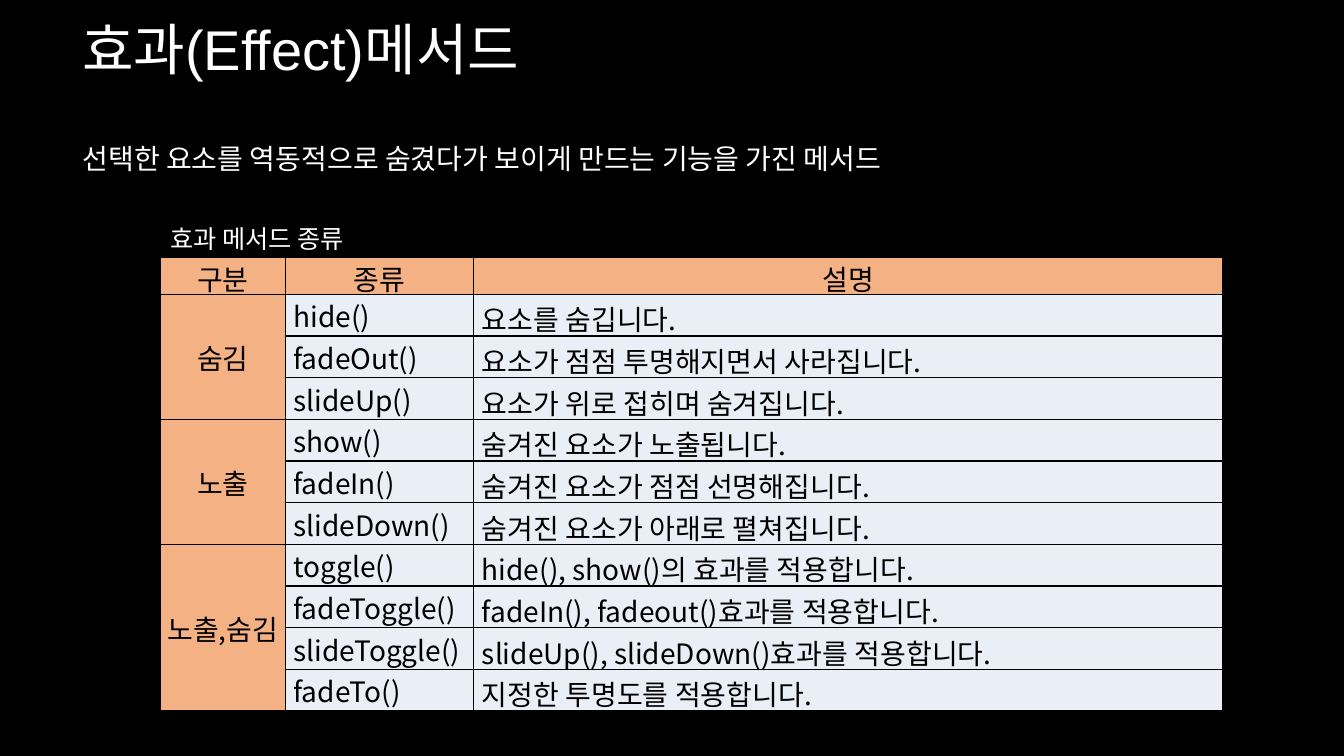
from dataclasses import dataclass
from pptx import Presentation
from pptx.dml.color import RGBColor as Rgb
from pptx.enum.text import MSO_ANCHOR as Anchor, MSO_AUTO_SIZE as Auto, PP_ALIGN as Align
from pptx.oxml import parse_xml
from pptx.oxml.ns import nsdecls, qn
from pptx.util import Inches, Pt


@dataclass(frozen=True)
class Theme:
    """Colours, fonts and type sizes of the slide."""
    back: str = "000000"
    light: str = "FFFFFF"
    dark: str = "000000"
    head: str = "F4B183"
    body: str = "EAEFF7"
    latin: str = "Arial"
    hangul: str = "Noto Sans CJK KR"
    title: int = 40
    text: int = 20
    label: int = 18


THEME = Theme()
HEADS = ("구분", "종류", "설명")
GROUPS = (
    ("숨김", (
        ("hide()", "요소를 숨깁니다."),
        ("fadeOut()", "요소가 점점 투명해지면서 사라집니다."),
        ("slideUp()", "요소가 위로 접히며 숨겨집니다."),
    )),
    ("노출", (
        ("show()", "숨겨진 요소가 노출됩니다."),
        ("fadeIn()", "숨겨진 요소가 점점 선명해집니다."),
        ("slideDown()", "숨겨진 요소가 아래로 펼쳐집니다."),
    )),
    ("노출,숨김", (
        ("toggle()", "hide(), show()의 효과를 적용합니다."),
        ("fadeToggle()", "fadeIn(), fadeout()효과를 적용합니다."),
        ("slideToggle()", "slideUp(), slideDown()효과를 적용합니다."),
        ("fadeTo()", "지정한 투명도를 적용합니다."),
    )),
)
COLS = (1.24, 1.87, 7.43)
HEAD_ROW, BODY_ROW = 0.37, 0.39
HEAD_PAD = (0.01, 0.01, 0.01, 0)
NAME_PAD = (0.08, 0.01, 0.01, 0.04)
NOTE_PAD = (0.08, 0.04, 0.01, 0.04)


def style(par, size, color, face=THEME.hangul):
    """Set the type of a whole paragraph."""
    font = par.font
    font.size, font.name = Pt(size), face
    font.color.rgb = Rgb.from_string(color)
    props = par._p.pPr.find(qn("a:defRPr"))
    props.append(parse_xml(f'<a:ea {nsdecls("a")} typeface="{face}"/>'))


def add_text(slide, box, text, size, face=THEME.hangul, wrap=True, space=None):
    """Place one line of light text in the box."""
    frame = slide.shapes.add_textbox(*map(Inches, box)).text_frame
    frame.word_wrap, frame.auto_size = wrap, Auto.SHAPE_TO_FIT_TEXT
    par = frame.paragraphs[0]
    par.text, par.line_spacing = text, space
    style(par, size, THEME.light, face)


def edge(cell):
    """Draw thin lines on all four sides of a cell."""
    props = cell._tc.get_or_add_tcPr()
    for spot, side in enumerate(("lnL", "lnR", "lnT", "lnB")):
        props.insert(spot, parse_xml(
            f'<a:{side} {nsdecls("a")} w="{Pt(1)}"><a:solidFill>'
            f'<a:srgbClr val="{THEME.dark}"/></a:solidFill></a:{side}>'))


def fill_cell(cell, text, pad, tint, align=None):
    """Write and colour one table cell."""
    cell.text = text
    cell.vertical_anchor = Anchor.MIDDLE
    (cell.margin_left, cell.margin_top,
     cell.margin_right, cell.margin_bottom) = map(Inches, pad)
    cell.fill.solid()
    cell.fill.fore_color.rgb = Rgb.from_string(tint)
    par = cell.text_frame.paragraphs[0]
    par.alignment = align
    style(par, THEME.text, THEME.dark)


def add_grid(slide, left, top):
    """Build the table of methods from its top left corner."""
    count = 1 + sum(len(items) for _, items in GROUPS)
    high = HEAD_ROW + BODY_ROW * (count - 1)
    grid = slide.shapes.add_table(
        count, len(COLS), *map(Inches, (left, top, sum(COLS), high))).table
    for col, wide in zip(grid.columns, COLS):
        col.width = Inches(wide)
    for spot, row in enumerate(grid.rows):
        row.height = Inches(BODY_ROW if spot else HEAD_ROW)
    for spot, text in enumerate(HEADS):
        fill_cell(grid.cell(0, spot), text, HEAD_PAD, THEME.head, Align.CENTER)
    row = 1
    for group, items in GROUPS:
        first = grid.cell(row, 0)
        first.merge(grid.cell(row + len(items) - 1, 0))
        fill_cell(first, group, HEAD_PAD, THEME.head, Align.CENTER)
        for name, note in items:
            fill_cell(grid.cell(row, 1), name, NAME_PAD, THEME.body)
            fill_cell(grid.cell(row, 2), note, NOTE_PAD, THEME.body)
            row += 1
    for cell in grid.iter_cells():
        edge(cell)


def main():
    """Compose and save the slide."""
    deck = Presentation()
    deck.slide_width, deck.slide_height = Inches(13.33), Inches(7.5)
    slide = deck.slides.add_slide(deck.slide_layouts[6])
    back = slide.background.fill
    back.solid()
    back.fore_color.rgb = Rgb.from_string(THEME.back)
    add_text(slide, (0.72, 0.09, 9.02, 0.77), "효과(Effect)메서드",
             THEME.title, THEME.latin)
    add_text(slide, (0.72, 1.02, 12.27, 0.67),
             "선택한 요소를 역동적으로 숨겼다가 보이게 만드는 기능을 가진 메서드",
             THEME.text, space=2.0)
    add_grid(slide, 1.59, 2.55)
    add_text(slide, (1.59, 1.87, 2.15, 0.71), "효과 메서드 종류",
             THEME.label, wrap=False, space=2.0)
    deck.save("out.pptx")


if __name__ == "__main__":
    main()
